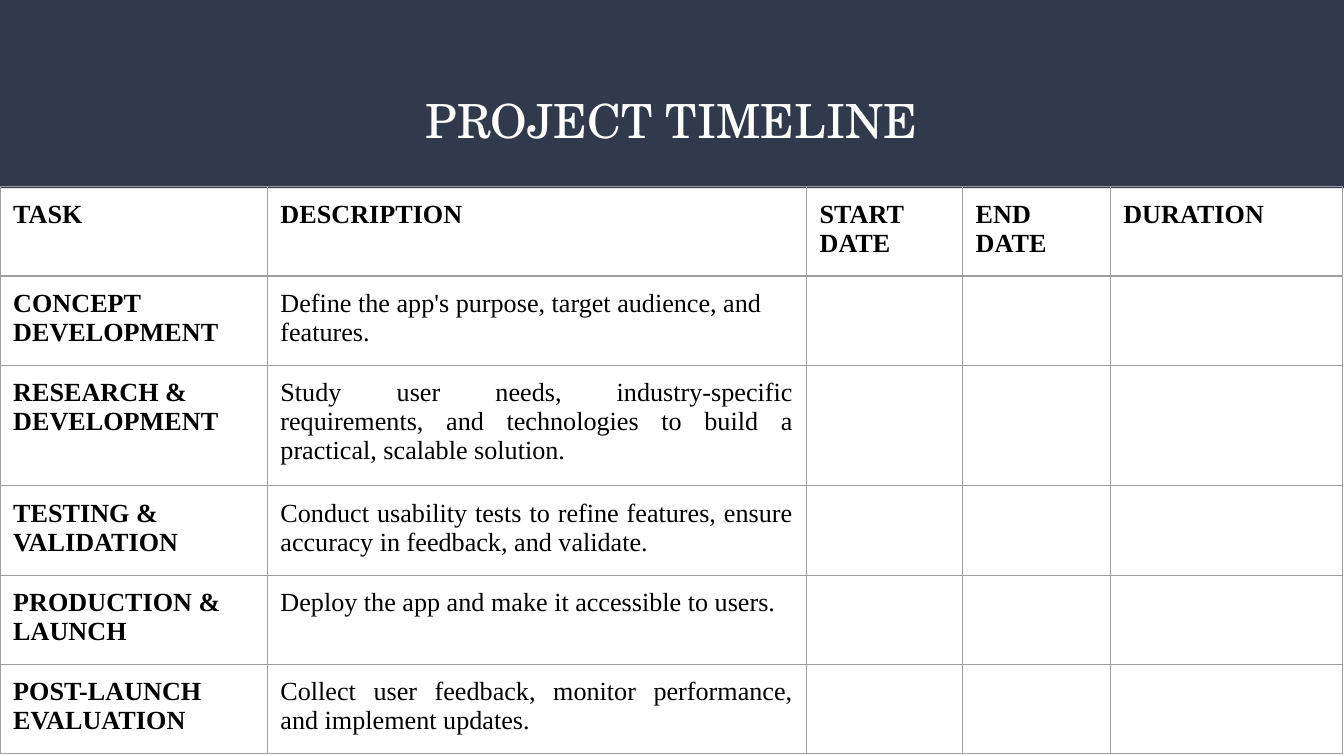
from dataclasses import dataclass

from lxml.etree import SubElement
from pptx import Presentation
from pptx.dml.color import RGBColor
from pptx.enum.shapes import MSO_SHAPE
from pptx.enum.text import MSO_ANCHOR, PP_ALIGN
from pptx.oxml.ns import qn
from pptx.slide import Slide
from pptx.table import Table, _Cell
from pptx.text.text import TextFrame
from pptx.util import Cm, Pt

NAVY = RGBColor(0x31, 0x39, 0x4D)
WHITE = RGBColor(0xFF, 0xFF, 0xFF)
BLACK = RGBColor(0x00, 0x00, 0x00)
GREY = RGBColor(0x9E, 0x9E, 0x9E)

TITLE_FONT = "TeX Gyre Schola"
BODY_FONT = "Times New Roman"
INSET = Cm(0.25)
ROW_HEIGHT = Cm(1.65)
COLUMN_WIDTHS = [Cm(5.05), Cm(10.19), Cm(2.95), Cm(2.79), Cm(4.39)]
HEADINGS = ["TASK", "DESCRIPTION", "START DATE", "END DATE", "DURATION"]


@dataclass(frozen=True)
class Task:
    name: str
    description: str
    align: PP_ALIGN = PP_ALIGN.JUSTIFY


TASKS = [
    Task("CONCEPT\nDEVELOPMENT",
         "Define the app's purpose, target audience, and features.",
         PP_ALIGN.LEFT),
    Task("RESEARCH & DEVELOPMENT",
         "Study user needs, industry-specific requirements, and technologies "
         "to build a practical, scalable solution."),
    Task("TESTING & VALIDATION",
         "Conduct usability tests to refine features, ensure accuracy in "
         "feedback, and validate."),
    Task("PRODUCTION &\nLAUNCH",
         "Deploy the app and make it accessible to users."),
    Task("POST-LAUNCH EVALUATION",
         "Collect user feedback, monitor performance, and implement updates."),
]


def write(frame: TextFrame, text: str, font: str, size: float,
          color: RGBColor, bold: bool, align: PP_ALIGN) -> None:
    frame.text = text
    for para in frame.paragraphs:
        para.alignment = align
        for span in para.runs:
            span.font.name = font
            span.font.size = Pt(size)
            span.font.bold = bold
            span.font.color.rgb = color


def fill_cell(cell: _Cell, text: str, bold: bool = True,
              align: PP_ALIGN = PP_ALIGN.LEFT) -> None:
    write(cell.text_frame, text, BODY_FONT, 14, BLACK, bold, align)


def style_cell(cell: _Cell) -> None:
    cell.margin_left = cell.margin_right = INSET
    cell.margin_top = cell.margin_bottom = INSET
    properties = cell._tc.get_or_add_tcPr()
    for side in ("a:lnL", "a:lnR", "a:lnT", "a:lnB"):
        border = SubElement(properties, qn(side), w=str(Pt(0.75)))
        solid = SubElement(border, qn("a:solidFill"))
        SubElement(solid, qn("a:srgbClr"), val=str(GREY))
    cell.fill.background()


def add_header(page: Slide, width: int) -> None:
    band = page.shapes.add_shape(MSO_SHAPE.RECTANGLE, 0, 0, width, Cm(3.56))
    band.shadow.inherit = False
    band.fill.solid()
    band.fill.fore_color.rgb = NAVY
    band.line.fill.background()

    title = page.shapes.add_textbox(Cm(0.86), Cm(1.4), Cm(23.67), Cm(1.73))
    frame = title.text_frame
    frame.word_wrap = True
    frame.vertical_anchor = MSO_ANCHOR.MIDDLE
    frame.margin_left = frame.margin_right = INSET
    frame.margin_top = frame.margin_bottom = INSET
    write(frame, "PROJECT TIMELINE", TITLE_FONT, 25.2, WHITE, False,
          PP_ALIGN.CENTER)


def add_timeline(page: Slide) -> Table:
    row_count = len(TASKS) + 1
    table = page.shapes.add_table(
        row_count, len(HEADINGS), 0, Cm(3.53),
        sum(COLUMN_WIDTHS), ROW_HEIGHT * row_count).table
    table.first_row = table.horz_banding = False
    for column, width in zip(table.columns, COLUMN_WIDTHS):
        column.width = width
    for row in table.rows:
        row.height = ROW_HEIGHT
    for cell in table.iter_cells():
        style_cell(cell)
    for index, heading in enumerate(HEADINGS):
        fill_cell(table.cell(0, index), heading)
    for index, task in enumerate(TASKS, start=1):
        fill_cell(table.cell(index, 0), task.name)
        fill_cell(table.cell(index, 1), task.description, False, task.align)
    return table


def main() -> None:
    deck = Presentation()
    deck.slide_width = Cm(25.4)
    deck.slide_height = Cm(14.29)
    page = deck.slides.add_slide(deck.slide_layouts[6])
    add_header(page, deck.slide_width)
    add_timeline(page)
    deck.save("out.pptx")


if __name__ == "__main__":
    main()
